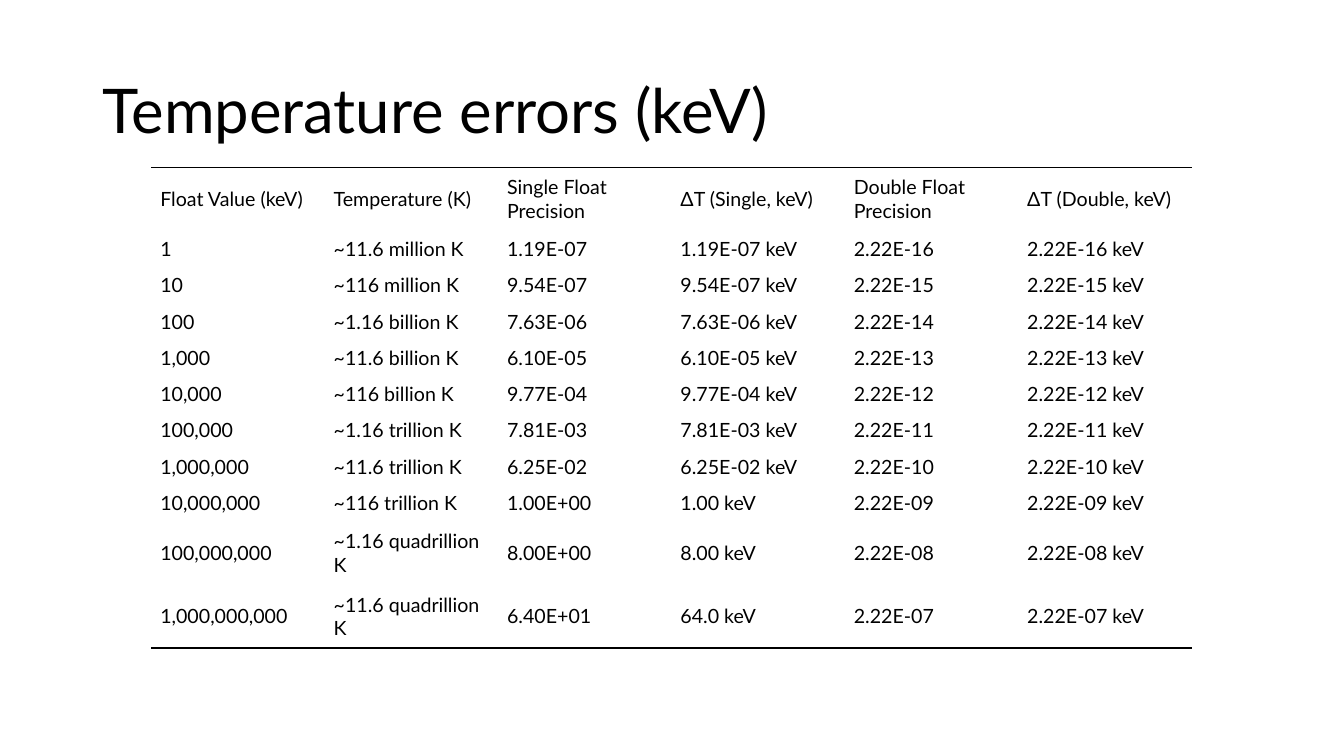
from lxml.etree import SubElement
from pptx import Presentation
from pptx.dml.color import RGBColor
from pptx.enum.text import MSO_ANCHOR
from pptx.oxml.ns import qn
from pptx.util import Pt

EMU_PER_PX = 9144  # 100 px to the inch
COLORS = {"text": "000000", "rule": "000000"}
NO_GRID_STYLE = "{2D5ABB26-0587-4C30-8999-92F81FD0307C}"

HEADINGS = ("Float Value (keV)", "Temperature (K)", "Single Float Precision",
            "ΔT (Single, keV)", "Double Float Precision", "ΔT (Double, keV)")
# Temperature, single precision, single-precision error in keV
MEASUREMENTS = [
    ("~11.6 million K", "1.19E-07", "1.19E-07"),
    ("~116 million K", "9.54E-07", "9.54E-07"),
    ("~1.16 billion K", "7.63E-06", "7.63E-06"),
    ("~11.6 billion K", "6.10E-05", "6.10E-05"),
    ("~116 billion K", "9.77E-04", "9.77E-04"),
    ("~1.16 trillion K", "7.81E-03", "7.81E-03"),
    ("~11.6 trillion K", "6.25E-02", "6.25E-02"),
    ("~116 trillion K", "1.00E+00", "1.00"),
    ("~1.16 quadrillion K", "8.00E+00", "8.00"),
    ("~11.6 quadrillion K", "6.40E+01", "64.0"),
]
COLUMN_WIDTH, ROW_HEIGHT, TALL_ROW_HEIGHT = 172, 36, 63
TALL_ROWS = (0, 9, 10)


def px(length):
    return length * EMU_PER_PX


def precision_rows():
    """Give the headings, then one row for each power of ten."""
    rows = [HEADINGS]
    for power, (temperature, single, single_error) in enumerate(MEASUREMENTS):
        double = f"2.22E-{16 - power:02d}"
        rows.append((f"{10 ** power:,}", temperature, single,
                     f"{single_error} keV", double, f"{double} keV"))
    return rows


class SlideBuilder:
    def __init__(self, slide, font="Lato"):
        self.slide = slide
        self.font = font

    def add_text(self, frame, text, size):
        paragraph = frame.paragraphs[0]
        run = paragraph.add_run()
        run.text = text
        run.font.name = self.font
        run.font.size = Pt(size)
        run.font.color.rgb = RGBColor.from_string(COLORS["text"])
        return paragraph

    def title(self, text, left, top, width, height):
        frame = self.slide.shapes.add_textbox(
            px(left), px(top), px(width), px(height)).text_frame
        frame.word_wrap = True
        frame.vertical_anchor = MSO_ANCHOR.MIDDLE
        self.add_text(frame, text, 44).line_spacing = 0.9

    def border(self, cell, side):
        """Draw a 1 pt rule on one side: lnT for top, lnB for bottom."""
        properties = cell._tc.get_or_add_tcPr()
        line = SubElement(properties, qn(f"a:{side}"), w=str(Pt(1)))
        fill = SubElement(line, qn("a:solidFill"))
        SubElement(fill, qn("a:srgbClr"), val=COLORS["rule"])
        properties.insert(0, line)

    def table(self, rows, left, top):
        heights = [TALL_ROW_HEIGHT if index in TALL_ROWS else ROW_HEIGHT
                   for index in range(len(rows))]
        columns = len(rows[0])
        table = self.slide.shapes.add_table(
            len(rows), columns, px(left), px(top),
            px(COLUMN_WIDTH * columns), px(sum(heights))).table
        table.first_row = table.horz_banding = False
        table._tbl.tblPr.find(qn("a:tableStyleId")).text = NO_GRID_STYLE
        for column in table.columns:
            column.width = px(COLUMN_WIDTH)
        for row, height, values in zip(table.rows, heights, rows):
            row.height = px(height)
            for cell, value in zip(row.cells, values):
                cell.fill.background()
                cell.vertical_anchor = MSO_ANCHOR.MIDDLE
                cell.margin_left = cell.margin_right = px(9)
                cell.margin_top = cell.margin_bottom = px(4)
                self.add_text(cell.text_frame, value, 14)
        for column in range(columns):
            self.border(table.cell(0, column), "lnT")
            self.border(table.cell(len(rows) - 1, column), "lnB")


def main():
    deck = Presentation()
    deck.slide_width, deck.slide_height = px(1333), px(750)
    builder = SlideBuilder(deck.slides.add_slide(deck.slide_layouts[6]))
    builder.title("Temperature errors (keV)", 92, 40, 1150, 145)
    builder.table(precision_rows(), 150, 166)
    deck.save("out.pptx")


if __name__ == "__main__":
    main()
